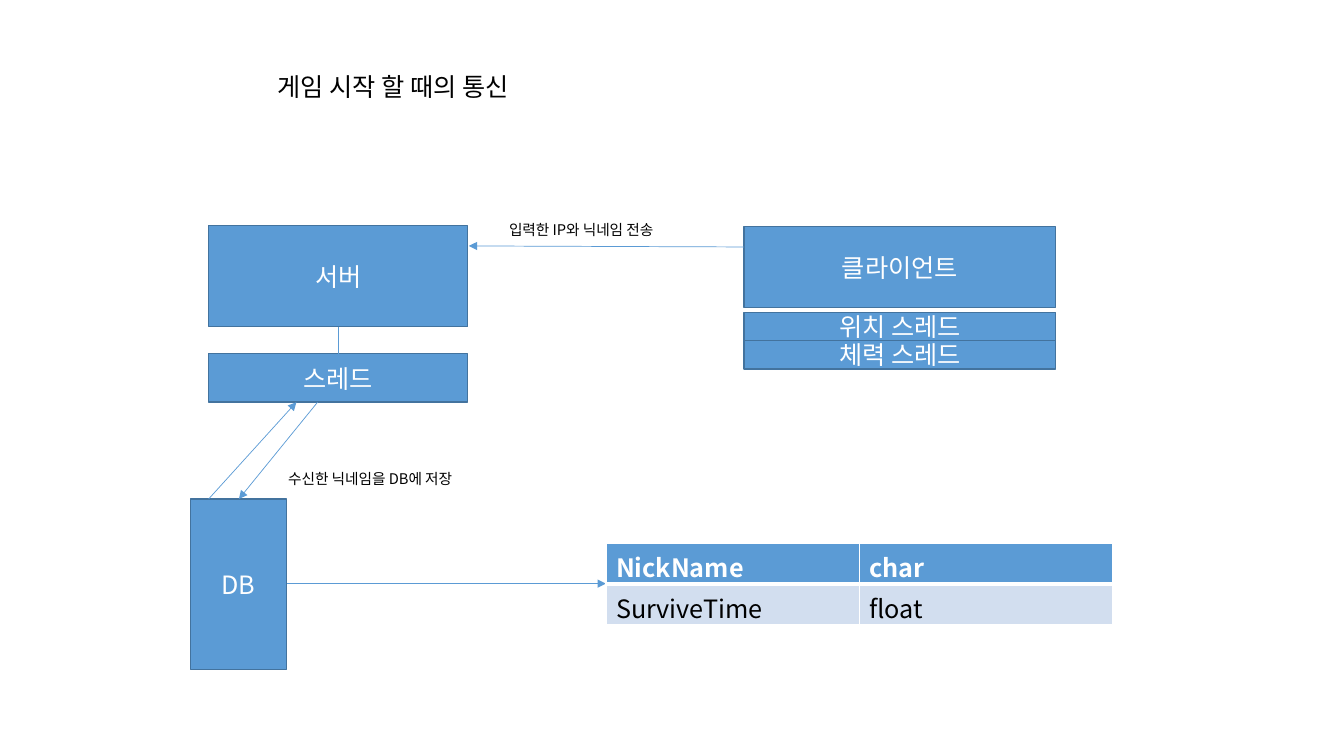
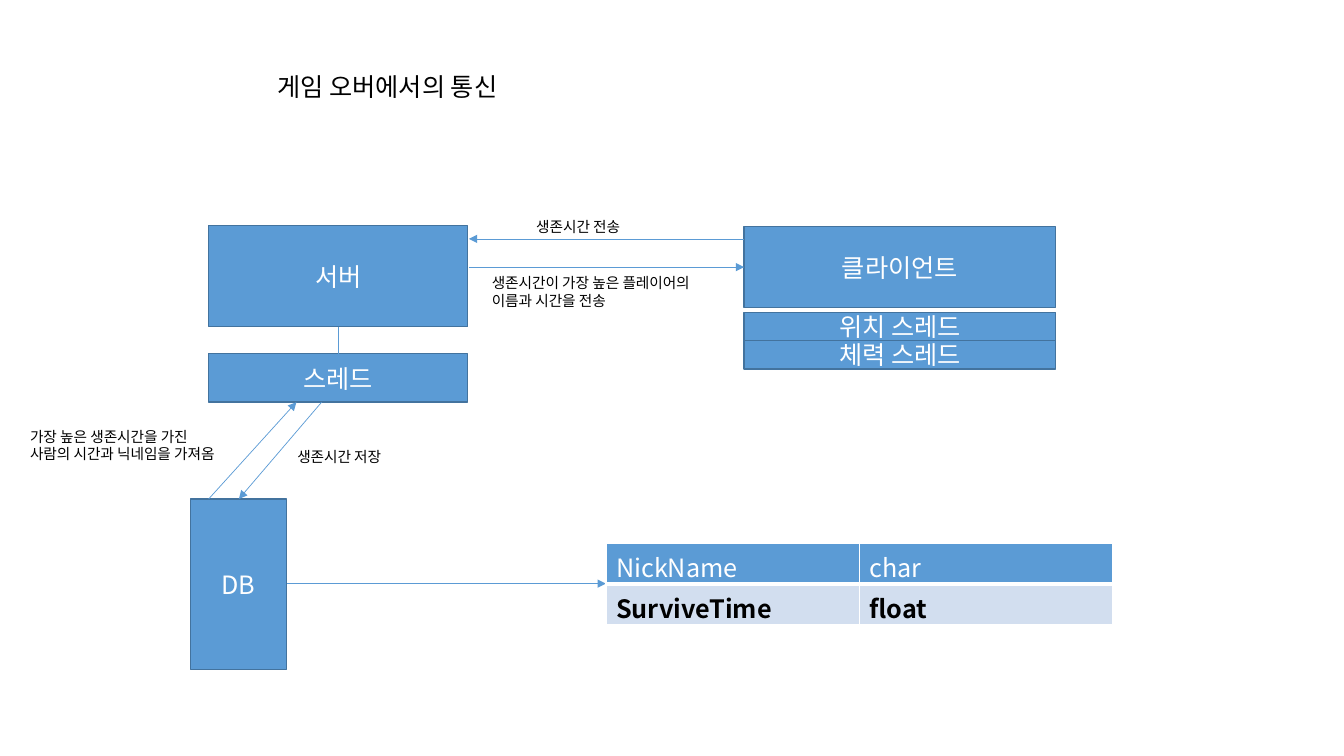
from dataclasses import dataclass

import pptx
import pptx.dml.color
import pptx.enum.shapes
import pptx.enum.text
import pptx.oxml
import pptx.oxml.ns
import pptx.util
from lxml import etree

Inches = pptx.util.Inches
Pt = pptx.util.Pt
qn = pptx.oxml.ns.qn
PP_ALIGN = pptx.enum.text.PP_ALIGN
ANCHOR = pptx.enum.text.MSO_ANCHOR
AUTO_SIZE = pptx.enum.text.MSO_AUTO_SIZE

FONT = "Noto Sans CJK KR"
COLORS = {
    "blue": "5B9BD5",
    "outline": "43739E",
    "pale": "D2DEEF",
    "white": "FFFFFF",
    "black": "000000",
}
TITLE_ONLY = 5


@dataclass(frozen=True)
class Box:
    """A labelled node of the diagram."""
    text: str
    x: float
    y: float
    w: float
    h: float


@dataclass(frozen=True)
class Link:
    """A straight line, with an arrowhead at its end unless plain."""
    x1: float
    y1: float
    x2: float
    y2: float
    arrow: bool = True


@dataclass(frozen=True)
class Label:
    """A caption beside a link; each line is a paragraph."""
    lines: tuple[str, ...]
    x: float
    y: float
    w: float = 3.45
    h: float = 0.28


@dataclass(frozen=True)
class Scene:
    """What one slide adds to the common diagram."""
    title: str
    bold_row: int
    links: tuple[Link, ...]
    labels: tuple[Label, ...]


BOXES = (
    Box("서버", 2.07, 2.24, 2.57, 1),
    Box("스레드", 2.07, 3.51, 2.57, 0.48),
    Box("DB", 1.89, 4.95, 0.95, 1.69),
    Box("클라이언트", 7.38, 2.25, 3.09, 0.8),
    Box("위치 스레드", 7.38, 3.1, 3.09, 0.28),
    Box("체력 스레드", 7.38, 3.38, 3.09, 0.28),
)
COMMON_LINKS = (
    Link(3.36, 3.24, 3.36, 3.51, arrow=False),
    Link(2.07, 4.95, 2.94, 3.99),
    Link(2.85, 5.79, 6.01, 5.79),
)
FIELDS = (("NickName", "char"), ("SurviveTime", "float"))
SCENES = (
    Scene(
        "게임 시작 할 때의 통신", 0,
        (Link(3.15, 3.99, 2.37, 4.95), Link(7.38, 2.45, 4.65, 2.44)),
        (Label(("입력한 IP와 닉네임 전송",), 4.95, 2.14),
         Label(("수신한 닉네임을 DB에 저장",), 2.76, 4.61)),
    ),
    Scene(
        "게임 오버에서의 통신", 1,
        (Link(3.19, 3.99, 2.37, 4.95), Link(7.38, 2.37, 4.65, 2.37),
         Link(4.65, 2.65, 7.38, 2.65)),
        (Label(("생존시간 전송",), 5.22, 2.11),
         Label(("생존시간이 가장 높은 플레이어의 이름과 시간을 전송",),
               4.78, 2.67, 2.47, 0.45),
         Label(("생존시간 저장",), 2.85, 4.39),
         Label(("가장 높은 생존시간을 가진", "사람의 시간과 닉네임을 가져옴"),
               0.2, 4.19, 2.31, 0.45)),
    ),
)


def rgb(name: str) -> pptx.dml.color.RGBColor:
    """Look up a named colour."""
    return pptx.dml.color.RGBColor.from_string(COLORS[name])


def write(tf, lines: tuple[str, ...], size: float, color: str,
          align=PP_ALIGN.LEFT, bold: bool = False) -> None:
    """Fill a text frame with equally formatted paragraphs."""
    tf.text = "\n".join(lines)
    for p in tf.paragraphs:
        p.alignment = align
        p.font.name = FONT
        p.font.size = Pt(size)
        p.font.bold = bold
        p.font.color.rgb = rgb(color)
        props = p._p.pPr.find(qn("a:defRPr"))
        etree.SubElement(props, qn("a:ea"), typeface=FONT)


def add_title(s, text: str) -> None:
    """Place the slide title."""
    sp = s.shapes.title
    sp.left, sp.top = Inches(2.65), Inches(0.66)
    sp.width, sp.height = Inches(5.15), Inches(0.4)
    tf = sp.text_frame
    write(tf, (text,), 18, "black")
    tf.word_wrap = True
    tf.auto_size = AUTO_SIZE.NONE
    tf.vertical_anchor = ANCHOR.TOP


def add_box(s, box: Box) -> None:
    """Draw a blue node with centred text."""
    sp = s.shapes.add_shape(
        pptx.enum.shapes.MSO_SHAPE.RECTANGLE,
        Inches(box.x), Inches(box.y), Inches(box.w), Inches(box.h))
    sp.shadow.inherit = False
    sp.fill.solid()
    sp.fill.fore_color.rgb = rgb("blue")
    sp.line.color.rgb = rgb("outline")
    sp.line.width = Pt(1)
    sp.text_frame.vertical_anchor = ANCHOR.MIDDLE
    write(sp.text_frame, (box.text,), 18, "white", PP_ALIGN.CENTER)


def add_link(s, link: Link) -> None:
    """Draw a thin line or arrow."""
    line = s.shapes.add_connector(
        pptx.enum.shapes.MSO_CONNECTOR.STRAIGHT,
        Inches(link.x1), Inches(link.y1), Inches(link.x2), Inches(link.y2))
    line.line.color.rgb = rgb("blue")
    line.line.width = Pt(0.5)
    props = line._element.spPr
    if link.arrow:
        etree.SubElement(props.find(qn("a:ln")), qn("a:tailEnd"),
                         type="triangle")
    etree.SubElement(props, qn("a:effectLst"))


def add_label(s, label: Label) -> None:
    """Write a small caption."""
    sp = s.shapes.add_textbox(
        Inches(label.x), Inches(label.y), Inches(label.w), Inches(label.h))
    tf = sp.text_frame
    tf.word_wrap = True
    tf.auto_size = AUTO_SIZE.SHAPE_TO_FIT_TEXT
    write(tf, label.lines, 10.5, "black")


def set_borders(cell, top: float, bottom: float) -> None:
    """Give a cell white borders, with its own top and bottom widths."""
    props = cell._tc.get_or_add_tcPr()
    sides = (("L", 1), ("R", 1), ("T", top), ("B", bottom))
    for i, (side, width) in enumerate(sides):
        ln = etree.Element(qn(f"a:ln{side}"), w=str(int(Pt(width))))
        fill = etree.SubElement(ln, qn("a:solidFill"))
        etree.SubElement(fill, qn("a:srgbClr"), val=COLORS["white"])
        props.insert(i, ln)


def add_fields(s, bold_row: int) -> None:
    """Draw the table of database fields, one row in bold."""
    table = s.shapes.add_table(
        len(FIELDS), len(FIELDS[0]),
        Inches(6.01), Inches(5.39), Inches(5.03), Inches(0.81)).table
    table.first_row = table.horz_banding = False
    for i, row in enumerate(FIELDS):
        header = i == 0
        for j, text in enumerate(row):
            cell = table.cell(i, j)
            cell.fill.solid()
            cell.fill.fore_color.rgb = rgb("blue" if header else "pale")
            set_borders(cell, 1 if header else 3, 3 if header else 1)
            write(cell.text_frame, (text,), 18,
                  "white" if header else "black", bold=i == bold_row)


def add_scene(prs, scene: Scene) -> None:
    """Build one slide."""
    s = prs.slides.add_slide(prs.slide_layouts[TITLE_ONLY])
    add_title(s, scene.title)
    for box in BOXES:
        add_box(s, box)
    for link in COMMON_LINKS + scene.links:
        add_link(s, link)
    for label in scene.labels:
        add_label(s, label)
    add_fields(s, scene.bold_row)


prs = pptx.Presentation()
prs.slide_width, prs.slide_height = Inches(13.33), Inches(7.5)
for scene in SCENES:
    add_scene(prs, scene)
prs.save("out.pptx")
